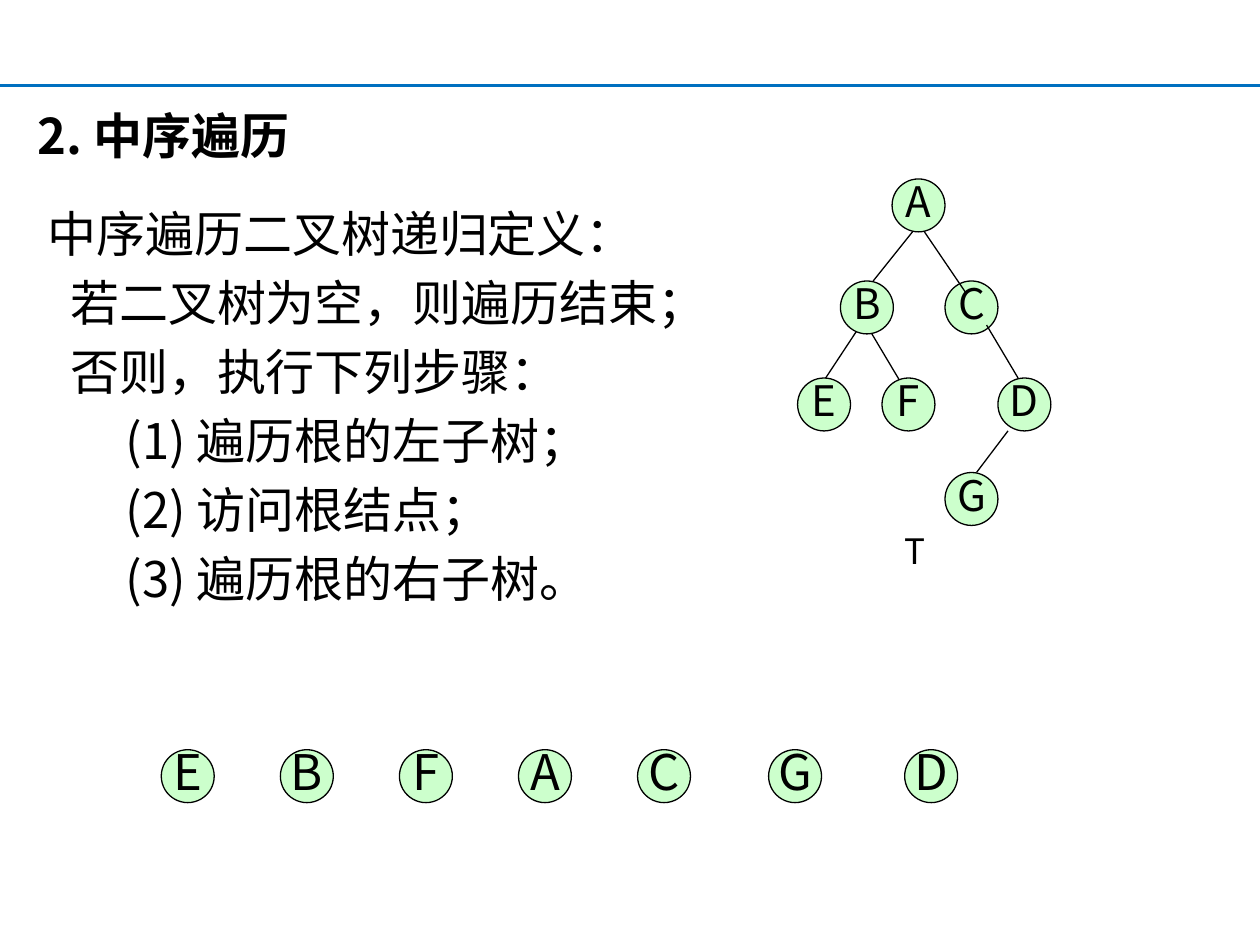
from lxml import etree
from pptx import Presentation
from pptx.dml.color import RGBColor
from pptx.enum.shapes import MSO_CONNECTOR, MSO_SHAPE
from pptx.enum.text import MSO_ANCHOR, PP_ALIGN
from pptx.oxml.ns import qn
from pptx.util import Inches, Pt

STRAIGHT = MSO_CONNECTOR.STRAIGHT
OVAL = MSO_SHAPE.OVAL
MIDDLE = MSO_ANCHOR.MIDDLE
CENTER, JUSTIFY = PP_ALIGN.CENTER, PP_ALIGN.JUSTIFY

COLORS = {"text": "000000", "edge": "000000", "node": "CCFFCC", "rule": "0070C0"}
NODE_SIZE = 0.42

DEFINITION = [
    ("2. 中序遍历", 0, 0),
    ("中序遍历二叉树递归定义：", 0.08, 16.6),
    ("若二叉树为空，则遍历结束；", 0.26, 0),
    ("否则，执行下列步骤：", 0.26, 0),
    ("(1) 遍历根的左子树；", 0.7, 0),
    ("(2) 访问根结点；", 0.7, 0),
    ("(3) 遍历根的右子树。", 0.7, 0),
]
TREE = {
    "C": (7.5, 2.23),
    "A": (7.08, 1.42),
    "D": (7.92, 3),
    "G": (7.5, 3.75),
    "B": (6.67, 2.23),
    "E": (6.33, 3),
    "F": (7, 3),
}
EDGES = [
    (7.25, 1.83, 6.93, 2.23),
    (7.33, 1.83, 7.67, 2.33),
    (7.83, 2.58, 8.08, 3),
    (8, 3.42, 7.75, 3.75),
    (6.92, 2.65, 7.17, 3.07),
    (6.83, 2.58, 6.5, 3.08),
]
VISIT_LEFTS = [1.28 + 0.945 * step for step in range(5)] + [6.1, 7.18]


class TreeSlide:
    """Draws text, lines and tree nodes on one slide in a shared style."""

    font_name = "Noto Sans CJK SC"

    def __init__(self, slide):
        self.slide = slide

    def color(self, name):
        return RGBColor.from_string(COLORS[name])

    def style(self, paragraph, size, bold=False):
        font = paragraph.font
        font.size = Pt(size)
        font.bold = bold
        font.color.rgb = self.color("text")
        font.name = self.font_name
        properties = paragraph._p.pPr.find(qn("a:defRPr"))
        etree.SubElement(properties, qn("a:ea"), typeface=self.font_name)

    def line(self, x1, y1, x2, y2, color="edge", width=0.75):
        connector = self.slide.shapes.add_connector(
            STRAIGHT, Inches(x1), Inches(y1), Inches(x2), Inches(y2))
        connector.line.color.rgb = self.color(color)
        connector.line.width = Pt(width)
        etree.SubElement(connector._element.spPr, qn("a:effectLst"))

    def node(self, letter, left, top, size):
        circle = self.slide.shapes.add_shape(
            OVAL, Inches(left), Inches(top), Inches(NODE_SIZE), Inches(NODE_SIZE))
        circle.shadow.inherit = False
        circle.fill.solid()
        circle.fill.fore_color.rgb = self.color("node")
        circle.line.color.rgb = self.color("edge")
        circle.line.width = Pt(0.75)
        frame = circle.text_frame
        frame.margin_left = frame.margin_right = 0
        frame.margin_top = frame.margin_bottom = 0
        frame.vertical_anchor = MIDDLE
        frame.word_wrap = False
        label = frame.paragraphs[0]
        label.text = letter
        label.alignment = CENTER
        label.line_spacing = 0.8
        self.style(label, size)

    def definition(self, lines, left, top, width, height):
        frame = self.slide.shapes.add_textbox(
            Inches(left), Inches(top), Inches(width), Inches(height)).text_frame
        frame.word_wrap = True
        frame.margin_top = frame.margin_bottom = 0
        for index, (text, indent, gap) in enumerate(lines):
            paragraph = frame.paragraphs[0] if index == 0 else frame.add_paragraph()
            paragraph.text = text
            paragraph.alignment = JUSTIFY
            paragraph.line_spacing = Pt(39.4)
            paragraph.space_before = Pt(gap)
            paragraph._p.get_or_add_pPr().set("marL", str(Inches(indent)))
            self.style(paragraph, 28, bold=index == 0)

    def caption(self, text, left, top, width, height):
        frame = self.slide.shapes.add_textbox(
            Inches(left), Inches(top), Inches(width), Inches(height)).text_frame
        frame.word_wrap = False
        frame.text = text
        self.style(frame.paragraphs[0], 20)


def main():
    deck = Presentation()
    deck.slide_width, deck.slide_height = Inches(10), Inches(7.5)
    page = TreeSlide(deck.slides.add_slide(deck.slide_layouts[6]))

    page.line(0, 0.68, 10, 0.68, "rule", 1.5)
    page.definition(DEFINITION, 0.2, 0.76, 5.9, 5.59)
    page.caption("T", 7.08, 4.15, 0.34, 0.43)

    (root_right, right_place), *other_nodes = TREE.items()
    page.node(root_right, *right_place, 24)
    for edge in EDGES:
        page.line(*edge)
    for letter, place in other_nodes:
        page.node(letter, *place, 24)

    for letter, left in zip("EBFACGD", VISIT_LEFTS):
        page.node(letter, left, 5.95, 28)

    deck.save("out.pptx")


if __name__ == "__main__":
    main()
